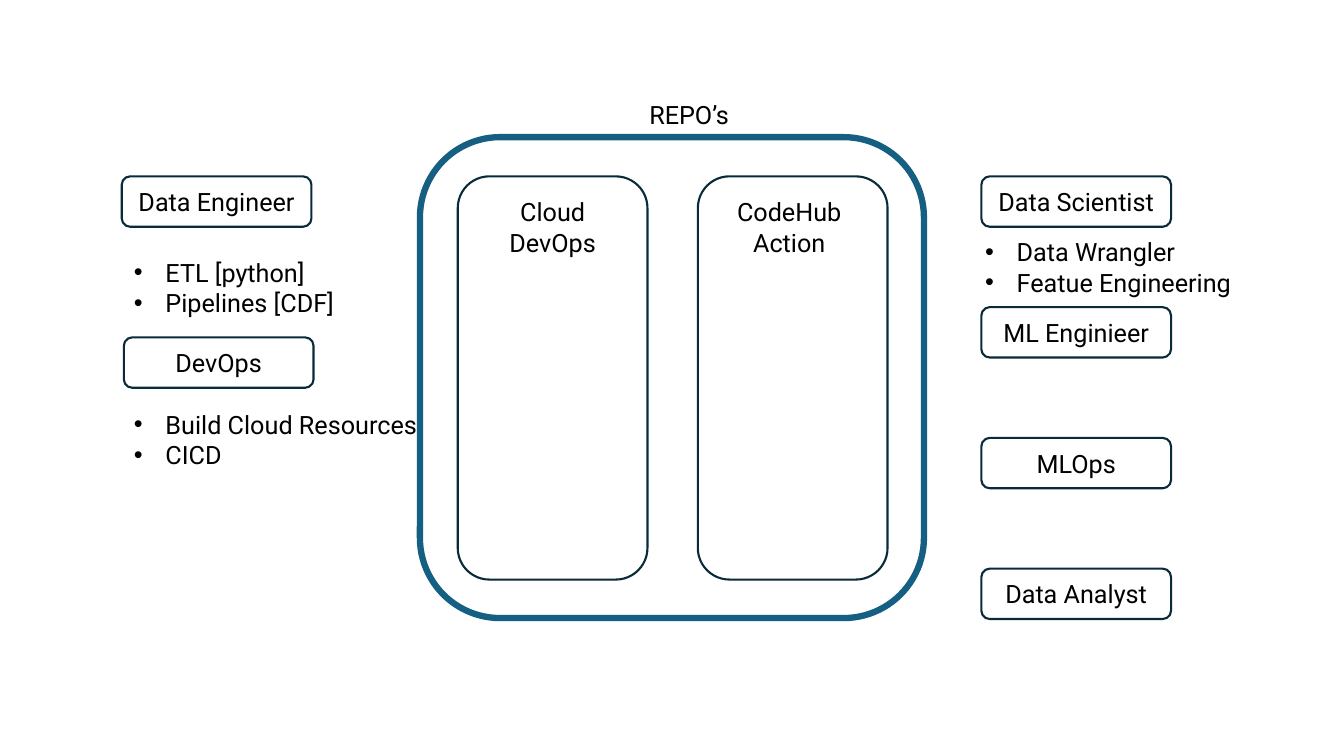
from dataclasses import dataclass

from lxml.etree import SubElement
from pptx import Presentation
from pptx.dml.color import RGBColor
from pptx.enum.shapes import MSO_SHAPE
from pptx.enum.text import MSO_ANCHOR, MSO_AUTO_SIZE, PP_ALIGN
from pptx.oxml.ns import qn
from pptx.util import Pt


@dataclass(frozen=True)
class Theme:
    font: str = "Roboto"
    size: int = 18
    ink: str = "000000"
    paper: str = "FFFFFF"
    edge: str = "092A39"
    accent: str = "156082"


class Board:
    def __init__(self, slide, theme):
        self.slide = slide
        self.theme = theme

    def letter(self, shape, text, align=PP_ALIGN.CENTER, anchor=MSO_ANCHOR.TOP):
        """Set the text of a shape in the theme style."""
        frame = shape.text_frame
        frame.text = text
        frame.word_wrap = True
        frame.auto_size = MSO_AUTO_SIZE.NONE
        frame.vertical_anchor = anchor
        for para in frame.paragraphs:
            para.alignment = align
            para.space_before = Pt(0)
            for run in para.runs:
                font = run.font
                font.name = self.theme.font
                font.size = Pt(self.theme.size)
                font.bold = False
                font.color.rgb = RGBColor.from_string(self.theme.ink)

    def move(self, shape, left, top, width, height):
        shape.left, shape.top = Pt(left), Pt(top)
        shape.width, shape.height = Pt(width), Pt(height)

    def title(self, text, *area):
        shape = self.slide.shapes.title
        self.move(shape, *area)
        self.letter(shape, text)

    def bullets(self, slot, items, *area):
        """Fill the body placeholder with index slot as a bullet list."""
        shape = self.slide.placeholders[slot]
        self.move(shape, *area)
        self.letter(shape, "\n".join(items), PP_ALIGN.LEFT)
        for para in shape.text_frame.paragraphs:
            props = para._p.get_or_add_pPr()
            props.set("marL", str(Pt(22.5)))
            props.set("indent", str(Pt(-22.5)))
            SubElement(props, qn("a:buFont"), typeface="Arial")
            SubElement(props, qn("a:buChar"), char="•")

    def box(self, left, top, width, height, text="", fill=None, line=None, weight=1.5):
        shape = self.slide.shapes.add_shape(
            MSO_SHAPE.ROUNDED_RECTANGLE, Pt(left), Pt(top), Pt(width), Pt(height))
        shape.shadow.inherit = False
        if fill:
            shape.fill.solid()
            shape.fill.fore_color.rgb = RGBColor.from_string(fill)
        else:
            shape.fill.background()
        shape.line.color.rgb = RGBColor.from_string(line or self.theme.edge)
        shape.line.width = Pt(weight)
        if text:
            self.letter(shape, text, anchor=MSO_ANCHOR.MIDDLE)

    def label(self, text, left, top, width, height):
        shape = self.slide.shapes.add_textbox(
            Pt(left), Pt(top), Pt(width), Pt(height))
        self.letter(shape, text)

    def drop(self, slot):
        node = self.slide.placeholders[slot]._element
        node.getparent().remove(node)


def main():
    deck = Presentation()
    deck.slide_width, deck.slide_height = Pt(960), Pt(540)
    theme = Theme()
    layout = deck.slide_layouts.get_by_name("Comparison")
    board = Board(deck.slides.add_slide(layout), theme)

    board.title("REPO’s", 446.5, 67.5, 91.5, 29)
    board.box(300, 98, 360, 343.5, fill=theme.paper, line=theme.accent, weight=4.5)

    wide, high, top = 135.5, 36, 126
    columns = [(327, 340, "Cloud\nDevOps"), (498.5, 509, "CodeHub\nAction")]
    for left, inner, text in columns:
        board.box(left, top, wide, 288)
        board.label(text, inner, 137, 109.5, 51)

    board.box(87, top, wide, high, "Data Engineer")
    board.box(88.5, 241, wide, high, "DevOps")
    roles = ["Data Scientist", "ML Enginieer", "MLOps", "Data Analyst"]
    for row, role in enumerate(roles):
        board.box(701, top + 93.4 * row, wide, high, role)

    lists = [
        (1, 88.5, 180, ["ETL [python]", "Pipelines [CDF]"]),
        (2, 88.5, 288.5, ["Build Cloud Resources", "CICD"]),
        (4, 696.5, 165.5, ["Data Wrangler", "Featue Engineering"]),
    ]
    for slot, left, head, items in lists:
        board.bullets(slot, items, left, head, 220, 51)
    board.drop(3)

    deck.save("out.pptx")


if __name__ == "__main__":
    main()
